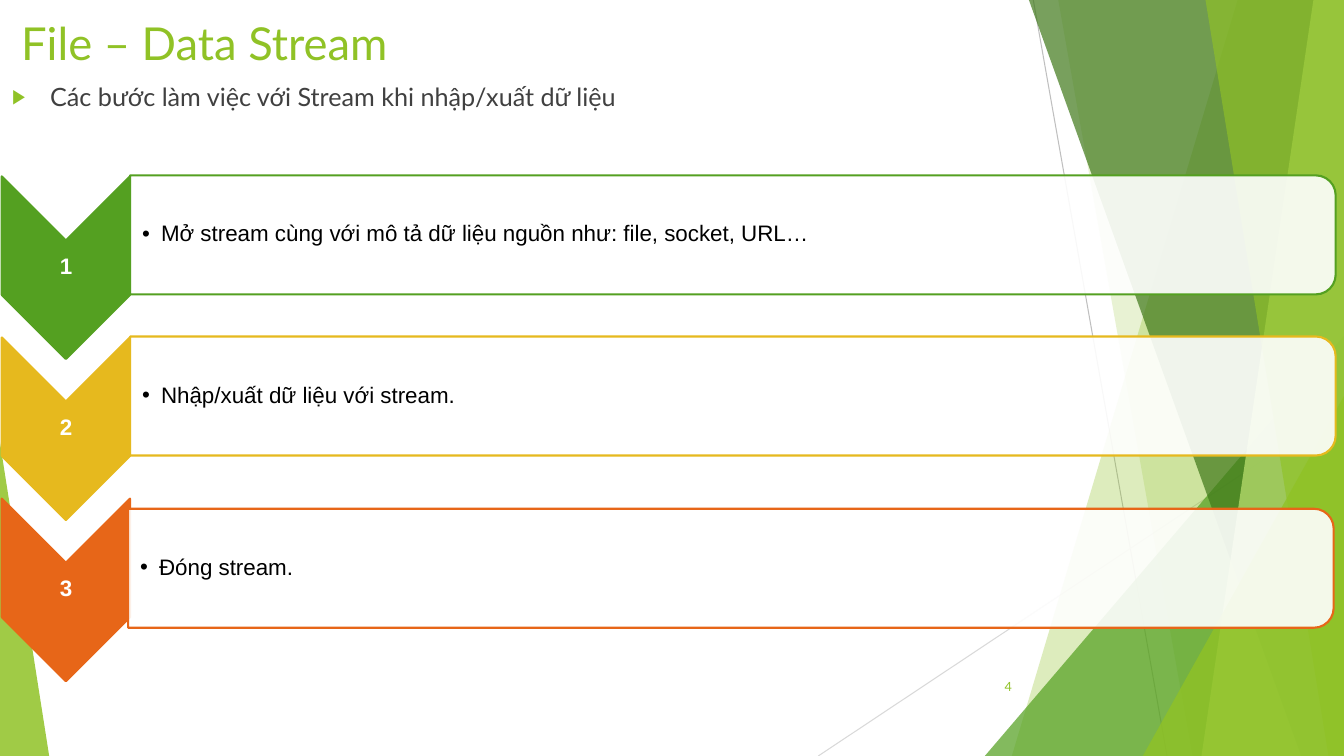
"""Build the slide on the steps of working with a data stream."""
from lxml.etree import SubElement
from pptx import Presentation
from pptx.dml.color import RGBColor
from pptx.enum.shapes import MSO_CONNECTOR, MSO_SHAPE
from pptx.enum.text import MSO_ANCHOR, MSO_AUTO_SIZE, PP_ALIGN
from pptx.oxml.ns import qn
from pptx.util import Cm, Pt

LIME = RGBColor(0x90, 0xC2, 0x26)
GREEN = RGBColor(0x54, 0xA0, 0x21)
FOREST = RGBColor(0x3F, 0x78, 0x19)
PALE = RGBColor(0xC0, 0xE4, 0x74)
GOLD = RGBColor(0xE6, 0xB9, 0x1E)
ORANGE = RGBColor(0xE7, 0x66, 0x18)
GRAY = RGBColor(0xBF, 0xBF, 0xBF)
SILVER = RGBColor(0xD9, 0xD9, 0xD9)
DARK = RGBColor(0x40, 0x40, 0x40)
BLACK = RGBColor(0, 0, 0)
WHITE = RGBColor(0xFF, 0xFF, 0xFF)
WIDE, HIGH = 33.87, 19.05


def paint(shape, color, alpha=100):
    """Fill a shape with a colour at the given opacity in percent."""
    shape.shadow.inherit = False
    shape.fill.solid()
    shape.fill.fore_color.rgb = color
    tint = shape.fill._xPr.find(qn("a:solidFill"))[0]
    SubElement(tint, qn("a:alpha"), val=str(alpha * 1000))


def write(shape, text, font, size, color, bullet=None, indent=0):
    """Put one formatted paragraph in a shape, with an optional bullet."""
    frame = shape.text_frame
    frame.word_wrap = True
    frame.auto_size = MSO_AUTO_SIZE.NONE
    frame.text = text
    para = frame.paragraphs[0]
    face = para.runs[0].font
    face.name, face.size, face.color.rgb = font, Pt(size), color
    if bullet:
        props = para._p.get_or_add_pPr()
        props.set("marL", str(Cm(indent)))
        props.set("indent", str(-Cm(indent)))
        if bullet == "▶":
            para.space_before = Pt(10)
            tone = SubElement(props, qn("a:buClr"))
            SubElement(tone, qn("a:srgbClr"), val=str(LIME))
            SubElement(props, qn("a:buSzPct"), val="80000")
        SubElement(props, qn("a:buFont"), typeface="Arial")
        SubElement(props, qn("a:buChar"), char=bullet)
    return para


deck = Presentation()
deck.slide_width, deck.slide_height = Cm(WIDE), Cm(HIGH)
slide = deck.slides.add_slide(deck.slide_layouts[1])
shapes = slide.shapes
title, body = slide.placeholders

rays = [(26.04, 0, 29.41, HIGH, GRAY), (WIDE, 10.24, 20.62, HIGH, SILVER)]
for x1, y1, x2, y2, color in rays:
    ray = shapes.add_connector(MSO_CONNECTOR.STRAIGHT, Cm(x1), Cm(y1), Cm(x2), Cm(y2))
    ray.line.color.rgb = color
    ray.line.width = Pt(0.75)
    SubElement(ray._element.spPr, qn("a:effectLst"))

facets = [
    ("wedge", (31.19, 25.5), LIME, 30),
    ("wedge", (26.67, 30.05), LIME, 20),
    ("peak", (24.82, 8.46, 9.05, 1), GREEN, 72),
    ("wedge", (25.93, 32.79), FOREST, 70),
    ("wedge", (33.1, 30.28), PALE, 70),
    ("wedge", (30.38, 33.48), LIME, 65),
    ("peak", (28.8, 9.98, 5.07, 1), LIME, 80),
    ("peak", (0, 11.15, 1.24, 0), LIME, 85),
]
for kind, spot, color, alpha in facets:
    if kind == "wedge":
        top, low = spot
        path = shapes.build_freeform(Cm(top), 0)
        edge = [(WIDE, 0), (WIDE, HIGH), (low, HIGH)]
        path.add_line_segments([(Cm(x), Cm(y)) for x, y in edge])
        facet = path.convert_to_shape()
    else:
        x, y, width, apex = spot
        facet = shapes.add_shape(
            MSO_SHAPE.ISOSCELES_TRIANGLE, Cm(x), Cm(y), Cm(width), Cm(HIGH - y))
        facet.adjustments[0] = apex
    paint(facet, color, alpha)
    facet.line.fill.background()

title.left, title.top, title.width, title.height = Cm(0.28), Cm(0.25), Cm(25.48), Cm(1.37)
write(title, "File – Data Stream", "Lato", 32.4, LIME).alignment = PP_ALIGN.LEFT
title.text_frame.vertical_anchor = MSO_ANCHOR.TOP

body.left, body.top, body.width, body.height = Cm(0.05), Cm(1.93), Cm(33.6), Cm(1.47)
write(body, "Các bước làm việc với Stream khi nhập/xuất dữ liệu", "Lato", 18, DARK, "▶", 0.96)

page = shapes.add_textbox(Cm(23.85), Cm(16.79), Cm(1.9), Cm(1.02))
write(page, "4", "Lato", 9, LIME).alignment = PP_ALIGN.RIGHT
page.text_frame.vertical_anchor = MSO_ANCHOR.MIDDLE

steps = [
    ("Mở stream cùng với mô tả dữ liệu nguồn như: file, socket, URL…", GREEN, 0, 0),
    ("Nhập/xuất dữ liệu với stream.", GOLD, 0, 0),
    ("Đóng stream.", ORANGE, -0.05, 0.28),
]
for row, (text, color, dx, dy) in enumerate(steps):
    drop = row * 4.06
    arrow = shapes.add_shape(
        MSO_SHAPE.CHEVRON, Cm(-0.64), Cm(5.13 + drop), Cm(4.6), Cm(3.23))
    paint(arrow, color)
    count = shapes.add_textbox(Cm(0.05), Cm(6.05 + drop), Cm(3.23), Cm(1.37))
    para = write(count, str(row + 1), "Arial", 16, WHITE)
    para.alignment = PP_ALIGN.CENTER
    para.runs[0].font.bold = True

    bar = shapes.add_shape(
        MSO_SHAPE.ROUND_2_SAME_RECTANGLE,
        Cm(16.97 + dx), Cm(-9.27 + drop + dy), Cm(3), Cm(30.38))
    paint(bar, WHITE, 90)
    label = shapes.add_textbox(Cm(3.28 + dx), Cm(4.57 + drop + dy), Cm(30.23), Cm(2.69))
    write(label, text, "Arial", 16, BLACK, "•", 0.48)

    for form in (arrow, bar):
        form.rotation = 90
        form.line.color.rgb = color
        form.line.width = Pt(1.5)
    for box, inset in ((count, 0.03), (label, 0.3)):
        frame = box.text_frame
        frame.vertical_anchor = MSO_ANCHOR.MIDDLE
        frame.margin_left = Cm(inset)
        frame.margin_right = frame.margin_top = frame.margin_bottom = Cm(0.03)
        frame.paragraphs[0].line_spacing = 0.9

deck.save("out.pptx")
